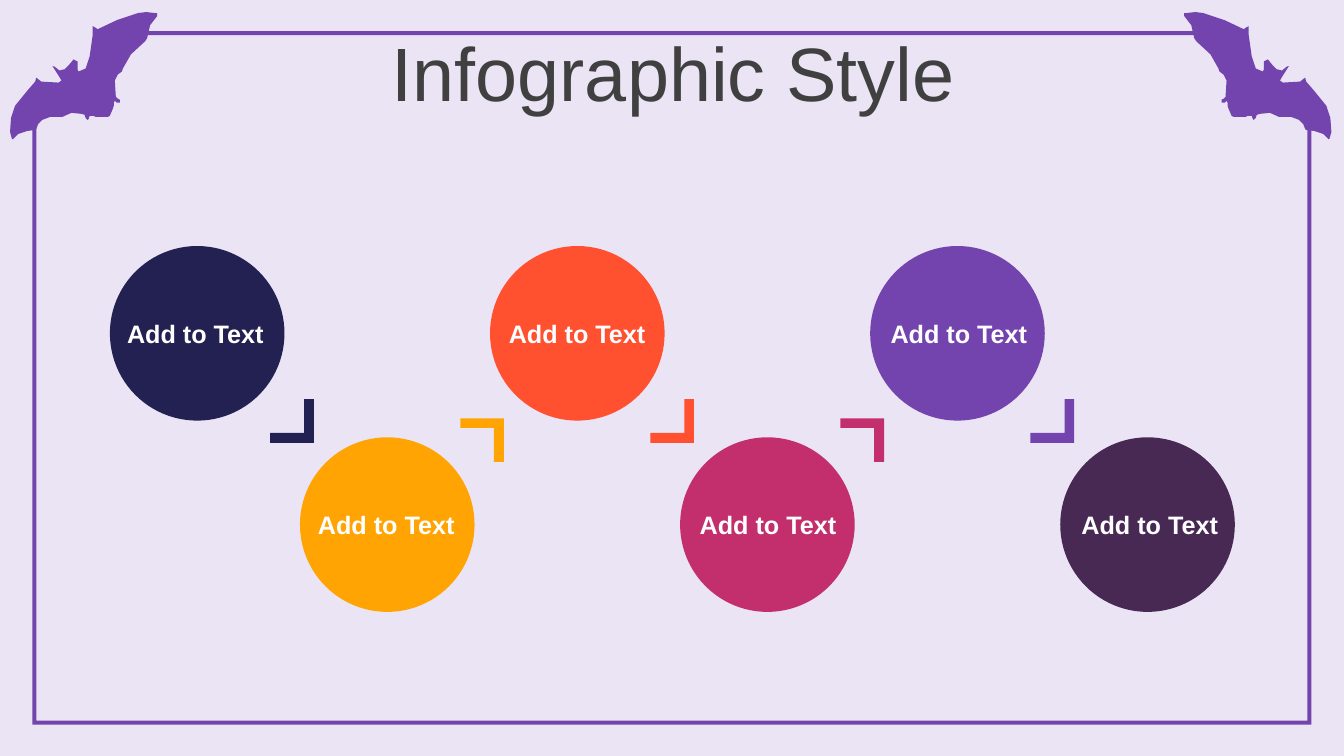
from dataclasses import dataclass

from pptx import Presentation
from pptx.dml.color import RGBColor
from pptx.enum.shapes import MSO_SHAPE
from pptx.enum.text import MSO_ANCHOR, PP_ALIGN
from pptx.util import Cm, Pt

ELLIPSE = MSO_SHAPE.OVAL
CORNER = MSO_SHAPE.CORNER
CENTER = PP_ALIGN.CENTER
MIDDLE = MSO_ANCHOR.MIDDLE

OUTLINE_UNIT = Cm(2.54) / 100
MIRROR_SUM = 1331
BAT = [
    (36, 77), (41, 81), (58, 82), (61, 80), (60, 78), (53, 67), (52, 66),
    (54, 66), (59, 70), (63, 69), (64, 69), (68, 65), (73, 59), (77, 61),
    (77, 69), (78, 71), (85, 68), (89, 56), (92, 35), (92, 27), (92, 26),
    (94, 27), (97, 29), (116, 20), (137, 13), (145, 12), (154, 13), (156, 13),
    (156, 16), (149, 25), (146, 38), (144, 41), (130, 54), (122, 68),
    (121, 71), (117, 74), (114, 80), (115, 96), (117, 98), (119, 99),
    (119, 102), (116, 102), (114, 100), (113, 102), (113, 105), (112, 108),
    (109, 115), (107, 116), (98, 116), (95, 116), (93, 115), (89, 115),
    (88, 118), (87, 119), (85, 117), (84, 114), (81, 113), (71, 112),
    (62, 116), (59, 116), (50, 116), (42, 119), (38, 123), (36, 128),
    (35, 129), (27, 130), (18, 133), (13, 138), (12, 138), (10, 131),
    (11, 117), (15, 105), (28, 89), (35, 81),
]
FRAME = [
    [(1297, 108), (1301, 108), (1301, 719), (32, 719),
     (32, 108), (36, 108), (36, 715), (1297, 715)],
    [(108, 31), (1225, 31), (1225, 35), (108, 35)],
]


@dataclass(frozen=True)
class Theme:
    """Colours, font and type sizes of the slide."""
    background: str = "EBE4F4"
    decoration: str = "7344AE"
    title: str = "404040"
    label: str = "FFFFFF"
    steps: tuple = ("232152", "FFA402", "FF5030", "C32F6D", "7344AE", "482954")
    font: str = "Arial"
    title_size: int = 54
    label_size: int = 18


class SlideBuilder:
    """Draws styled elements on the current slide."""

    def __init__(self, page, theme):
        self.page = page
        self.theme = theme
        fill = page.background.fill
        fill.solid()
        fill.fore_color.rgb = RGBColor.from_string(theme.background)

    def paint(self, shape, color):
        """Give a shape a flat fill without line or shadow."""
        shape.shadow.inherit = False
        shape.fill.solid()
        shape.fill.fore_color.rgb = RGBColor.from_string(color)
        shape.line.fill.background()

    def add_text(self, box, text, size, color, bold=False):
        """Add one centred run and return its paragraph."""
        box.text_frame.word_wrap = True
        para = box.text_frame.paragraphs[0]
        para.alignment = CENTER
        span = para.add_run()
        span.text = text
        span.font.name = self.theme.font
        span.font.size = Pt(size)
        span.font.bold = bold
        span.font.color.rgb = RGBColor.from_string(color)
        return para

    def title(self, text, left, top, width, height):
        """Place and format the title placeholder."""
        box = self.page.shapes.title
        box.left, box.top, box.width, box.height = map(Cm, (left, top, width, height))
        box.text_frame.vertical_anchor = MIDDLE
        para = self.add_text(box, text, self.theme.title_size, self.theme.title)
        para.line_spacing = 0.9

    def outline(self, contours, color):
        """Draw one filled shape from closed contours."""
        start = contours[0][0]
        builder = self.page.shapes.build_freeform(*start, scale=OUTLINE_UNIT)
        for contour in contours:
            if contour[0] != start:
                builder.move_to(*contour[0])
            builder.add_line_segments(contour[1:], close=True)
        self.paint(builder.convert_to_shape(), color)

    def preset(self, kind, left, top, size, color):
        """Draw a filled square-bounded preset shape."""
        shape = self.page.shapes.add_shape(kind, Cm(left), Cm(top), Cm(size), Cm(size))
        self.paint(shape, color)
        return shape

    def corner(self, left, top, rotation, color):
        """Draw the angle that leads to the next step."""
        shape = self.preset(CORNER, left, top, 1.1, color)
        shape.adjustments[0] = 0.22
        shape.adjustments[1] = 0.23
        shape.rotation = rotation

    def label(self, text, left, top, width, height):
        """Add a bold centred label."""
        box = self.page.shapes.add_textbox(Cm(left), Cm(top), Cm(width), Cm(height))
        self.add_text(box, text, self.theme.label_size, self.theme.label, bold=True)


def main():
    """Build the slide and save it."""
    deck = Presentation()
    deck.slide_width, deck.slide_height = Cm(33.87), Cm(19.05)
    theme = Theme()
    slide = SlideBuilder(deck.slides.add_slide(deck.slide_layouts[5]), theme)

    slide.outline([[(MIRROR_SUM - x, y) for x, y in BAT]], theme.decoration)
    slide.outline([BAT], theme.decoration)
    slide.outline(FRAME, theme.decoration)
    slide.title("Infographic Style", 0.89, 0.94, 32.16, 2.01)

    last = len(theme.steps) - 1
    for step, color in enumerate(theme.steps):
        lower = step % 2
        offset = 4.79 * step
        drop = 4.82 * lower
        slide.preset(ELLIPSE, 2.77 + offset, 6.2 + drop, 4.4, color)
        if step < last:
            slide.corner(6.81 + offset, 10.06 + 0.48 * lower, 180 if lower else 270, color)
        slide.label("Add to Text", 2.83 + 4.81 * step, 7.9 + drop, 4.19, 1.02)

    deck.save("out.pptx")


if __name__ == "__main__":
    main()
